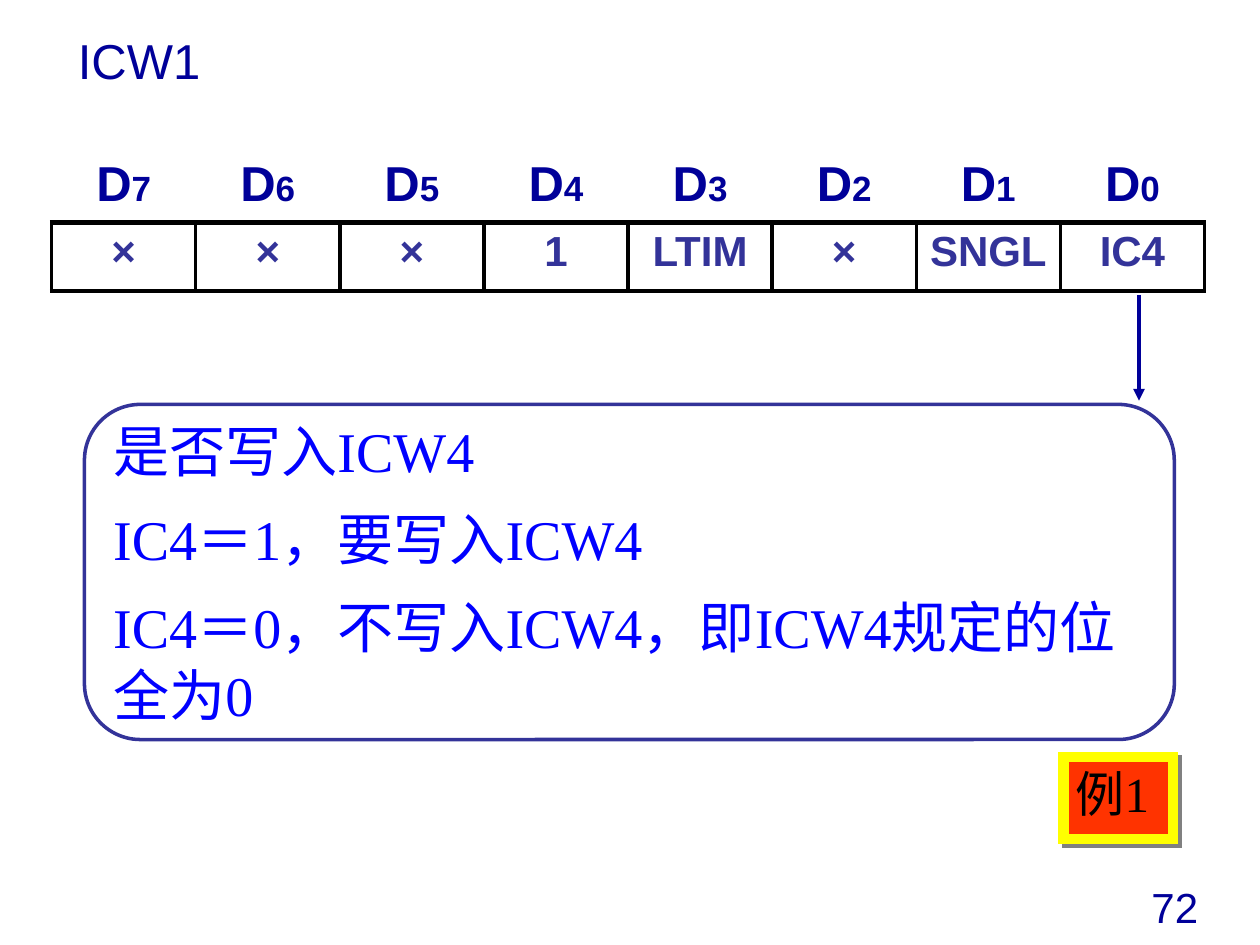
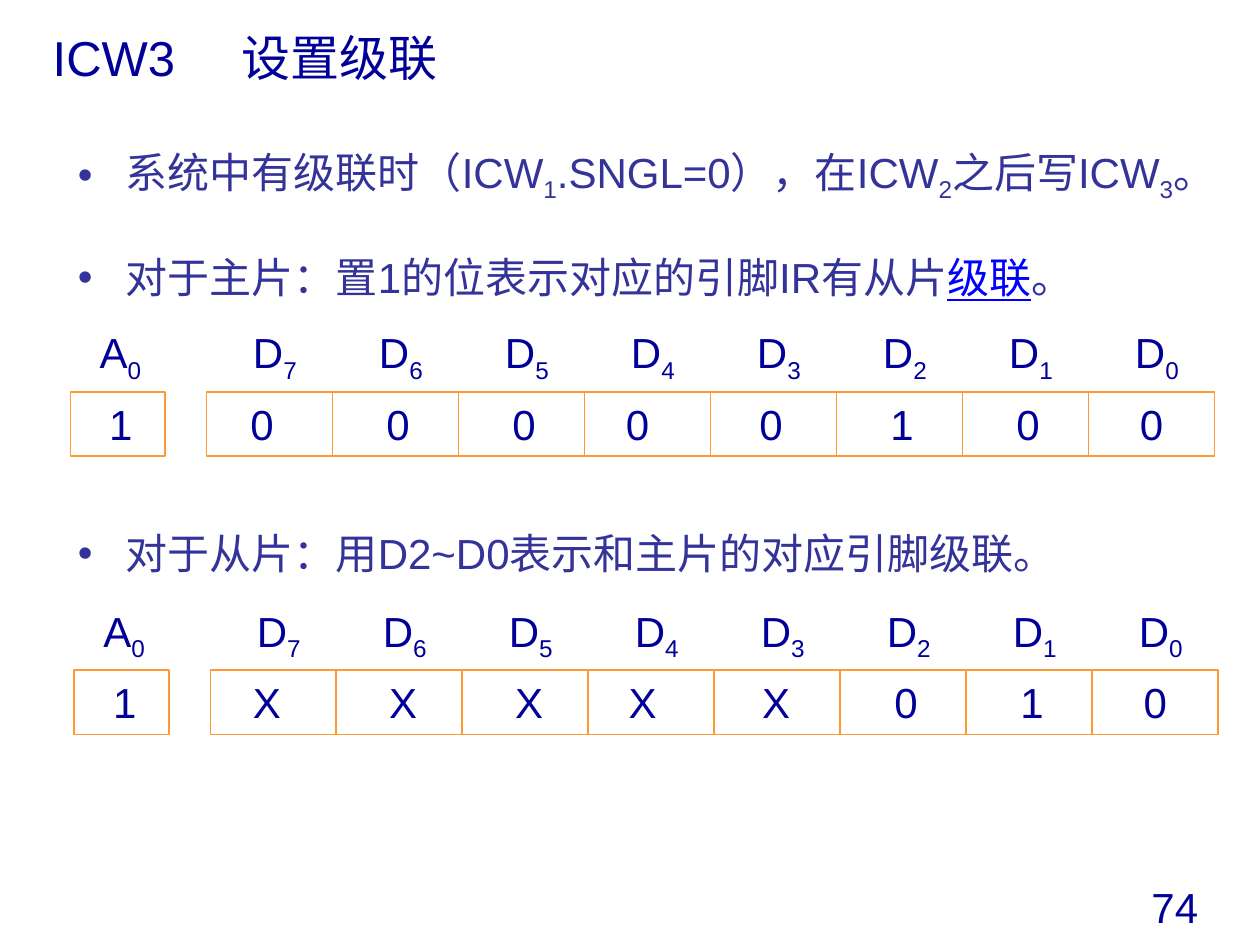
from lxml import etree
from pptx import Presentation
from pptx.dml.color import RGBColor
from pptx.enum.shapes import MSO_CONNECTOR, MSO_SHAPE
from pptx.enum.text import MSO_ANCHOR, PP_ALIGN
from pptx.oxml import parse_xml
from pptx.oxml.ns import qn
from pptx.util import Inches, Pt

RECT, ROUNDED = MSO_SHAPE.RECTANGLE, MSO_SHAPE.ROUNDED_RECTANGLE
STRAIGHT = MSO_CONNECTOR.STRAIGHT
TOP, MIDDLE = MSO_ANCHOR.TOP, MSO_ANCHOR.MIDDLE
LEFT, CENTER, JUSTIFY = PP_ALIGN.LEFT, PP_ALIGN.CENTER, PP_ALIGN.JUSTIFY
A_NS = 'xmlns:a="http://schemas.openxmlformats.org/drawingml/2006/main"'

NAVY, INDIGO, BLUE = "000099", "333399", "0000FF"
BLACK, WHITE, ORANGE = "000000", "FFFFFF", "FF9933"
RED, YELLOW = "FF3300", "FFFF00"
rgb = RGBColor.from_string

TITLE = {"size": Pt(28), "name": "Arial"}
BODY = {"size": Pt(24), "name": "Arial"}
BOLD_BODY = {**BODY, "bold": True}
BOLD_HEAD = {**TITLE, "bold": True}
SERIF_NOTE = {"size": Pt(32), "name": "Times New Roman"}
SERIF_BADGE = {"size": Pt(28), "name": "Times New Roman"}
SUBSCRIPT = {"baseline": -25000}
SMALL_DIGIT = {"size": Pt(20)}
LINK_LOOK = {"color": BLUE, "underline": True}


def write(frame, text, style, color=NAVY, align=LEFT, marked=SUBSCRIPT):
    """Fill a frame, one paragraph a line; parts between underscores are marked."""
    frame.word_wrap = True
    for number, line in enumerate(text.split("\n")):
        paragraph = frame.add_paragraph() if number else frame.paragraphs[0]
        paragraph.alignment = align
        if number:
            paragraph.space_before = Pt(12)
        for index, part in enumerate(line.split("_")):
            if not part:
                continue
            run = paragraph.add_run()
            run.text = part
            run.font.color.rgb = rgb(color)
            look = {**style, **marked} if index % 2 else style
            for attribute, value in look.items():
                if attribute == "baseline":
                    run._r.get_or_add_rPr().set("baseline", str(value))
                elif attribute == "color":
                    run.font.color.rgb = rgb(value)
                else:
                    setattr(run.font, attribute, value)
    return frame.paragraphs[0]


def add_text(shapes, box, text, style, anchor=TOP, wrap=True, stops=(), **options):
    frame = shapes.add_textbox(*map(Inches, box)).text_frame
    frame.vertical_anchor = anchor
    paragraph = write(frame, text, style, **options)
    frame.word_wrap = wrap
    if stops:
        tabs = etree.SubElement(paragraph._p.get_or_add_pPr(), qn("a:tabLst"))
        for stop in stops:
            etree.SubElement(tabs, qn("a:tab"), pos=str(Inches(stop)), algn="l")
    return paragraph


prs = Presentation()
prs.slide_width, prs.slide_height = Inches(10), Inches(7.5)

# Titles and page numbers
slides = []
for title, title_box, stops, page in [
    ("ICW1", (0.52, 0.19, 8.73, 0.57), (), "72"),
    ("ICW3\t设置级联", (0.32, 0.16, 9.21, 0.58), (1.5,), "74"),
]:
    slide = prs.slides.add_slide(prs.slide_layouts[6])
    add_text(slide.shapes, (9.04, 6.95, 0.89, 0.5), page, BODY)
    add_text(slide.shapes, title_box, title, TITLE, anchor=MIDDLE, stops=stops)
    slides.append(slide)
icw1, icw3 = (slide.shapes for slide in slides)

# ICW1: control word fields, then the bit names above them
fields = ["×", "×", "×", "1", "LTIM", "×", "SNGL", "IC4"]
bit_names = [f"D_{bit}_" for bit in range(7, -1, -1)]
ruled = f'<a:solidFill><a:srgbClr val="{BLACK}"/></a:solidFill>'
for texts, top, height, style, color, ruled_edges in [
    (fields, 1.76, 0.55, BOLD_BODY, INDIGO, "LRTB"),
    (bit_names, 1.2, 0.57, BOLD_HEAD, NAVY, "B"),
]:
    table = icw1.add_table(1, len(texts), Inches(0.41), Inches(top),
                           Inches(9.15), Inches(height)).table
    table.first_row = table.horz_banding = False
    for column, text in enumerate(texts):
        table.columns[column].width = Inches(9.15 / len(texts))
        cell = table.cell(0, column)
        write(cell.text_frame, text, style, color, CENTER, SMALL_DIGIT)
        cell.fill.background()
        for position, edge in enumerate("LRTB"):
            paint = ruled if edge in ruled_edges else "<a:noFill/>"
            cell._tc.get_or_add_tcPr().insert(position, parse_xml(
                f'<a:ln{edge} {A_NS} w="{Pt(2.25)}">{paint}</a:ln{edge}>'))

# ICW1: arrow from IC4 to its explanation
arrow = icw1.add_connector(STRAIGHT, *map(Inches, (9.04, 2.34, 9.04, 3.18)))
arrow.line.color.rgb = rgb(NAVY)
arrow.line.width = Pt(2.25)
etree.SubElement(arrow.line._get_or_add_ln(), qn("a:tailEnd"), type="triangle")
etree.SubElement(arrow._element.spPr, qn("a:effectLst"))

# ICW1: example badge and explanation
explanation = "是否写入ICW4\nIC4＝1，要写入ICW4\nIC4＝0，不写入ICW4，即ICW4规定的位全为0"
for kind, box, fill, edge, weight, anchor, text, style, color in [
    (RECT, (8.44, 6.01, 0.87, 0.65), RED, YELLOW, 6, TOP,
     "例1", SERIF_BADGE, BLACK),
    (ROUNDED, (0.67, 3.21, 8.65, 2.66), WHITE, INDIGO, 2, MIDDLE,
     explanation, SERIF_NOTE, BLUE),
]:
    panel = icw1.add_shape(kind, *map(Inches, box))
    panel.shadow.inherit = False
    panel.fill.solid()
    panel.fill.fore_color.rgb = rgb(fill)
    panel.line.color.rgb = rgb(edge)
    panel.line.width = Pt(weight)
    panel.text_frame.vertical_anchor = anchor
    write(panel.text_frame, text, style, color)
    if kind == RECT:
        panel.text_frame.word_wrap = False
        etree.SubElement(panel.line._get_or_add_ln(), qn("a:miter"), lim="800000")
        panel._element.spPr.find(qn("a:effectLst")).append(parse_xml(
            f'<a:outerShdw {A_NS} dist="{Pt(2.8)}" dir="2700000" algn="ctr" '
            'rotWithShape="0"><a:srgbClr val="808080"/></a:outerShdw>'))

# ICW3: bulleted rules
for top, height, width, text, marked in [
    (1.11, 0.62, 9.25,
     "系统中有级联时（ICW_1_.SNGL=0），在ICW_2_之后写ICW_3_。", SUBSCRIPT),
    (1.95, 0.57, 9.22,
     "对于主片：置1的位表示对应的引脚IR有从片_级联_。", LINK_LOOK),
    (4.14, 0.57, 9.36,
     "对于从片：用D2~D0表示和主片的对应引脚级联。", SUBSCRIPT),
]:
    rule = add_text(icw3, (0.52, top, width, height), text, BODY,
                    color=INDIGO, align=JUSTIFY, marked=marked)
    properties = rule._p.get_or_add_pPr()
    properties.set("marL", str(Inches(0.38)))
    properties.set("indent", str(Inches(-0.38)))
    etree.SubElement(properties, qn("a:buFont"), typeface="Arial")
    etree.SubElement(properties, qn("a:buChar"), char="•")

# ICW3: register layouts of the master and the slave chip
value_centers = [0.44, 0.52, 0.52, 0.42, 0.48, 0.52, 0.52, 0.5]
for left, top, values in [(0.56, 3.11, "00000100"), (0.59, 5.32, "XXXXX010")]:
    register = icw3.add_group_shape().shapes
    data_left = left + 1.08
    cells = [(left, 0.75, 0.4, "1")]
    for bit, (center, value) in enumerate(zip(value_centers, values)):
        cells.append((data_left + bit, 1, center, value))
    for cell_left, width, center, value in cells:
        cell = register.add_shape(
            RECT, *map(Inches, (cell_left, top, width, 0.51)))
        cell.shadow.inherit = False
        cell.fill.background()
        cell.line.color.rgb = rgb(ORANGE)
        cell.line.width = Pt(1)
        add_text(register, (cell_left + center - 0.2, top, 0.4, 0.5), value,
                 BODY, anchor=MIDDLE, wrap=False, align=CENTER)
    add_text(register, (left + 0.12, top - 0.54, 0.55, 0.5), "A_0_", BODY,
             anchor=MIDDLE, wrap=False, align=CENTER)
    add_text(register, (data_left + 0.27, top - 0.54, 7.57, 0.5),
             "\t".join(bit_names), BODY, anchor=MIDDLE, wrap=False,
             stops=range(1, len(bit_names)))

prs.save("out.pptx")
